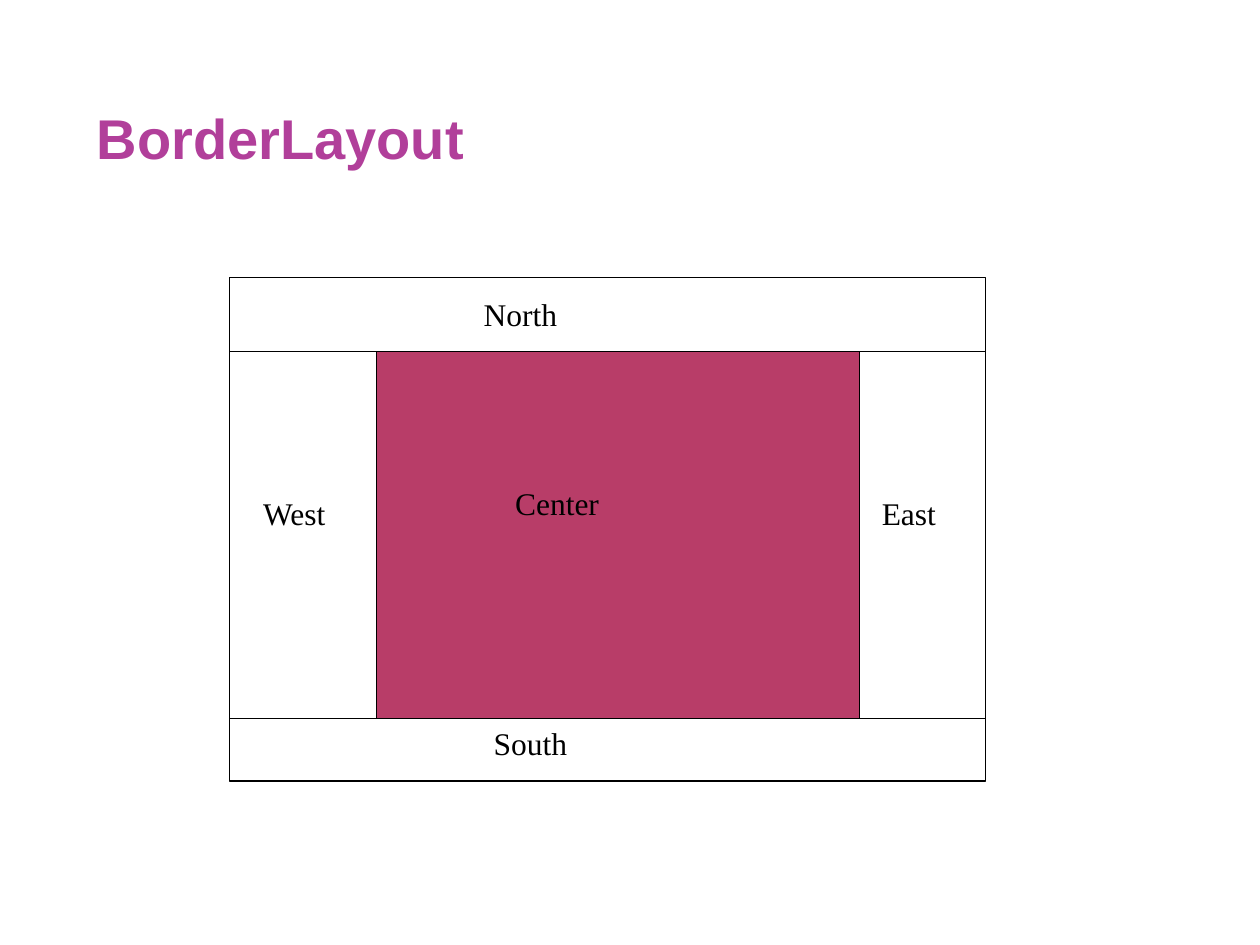
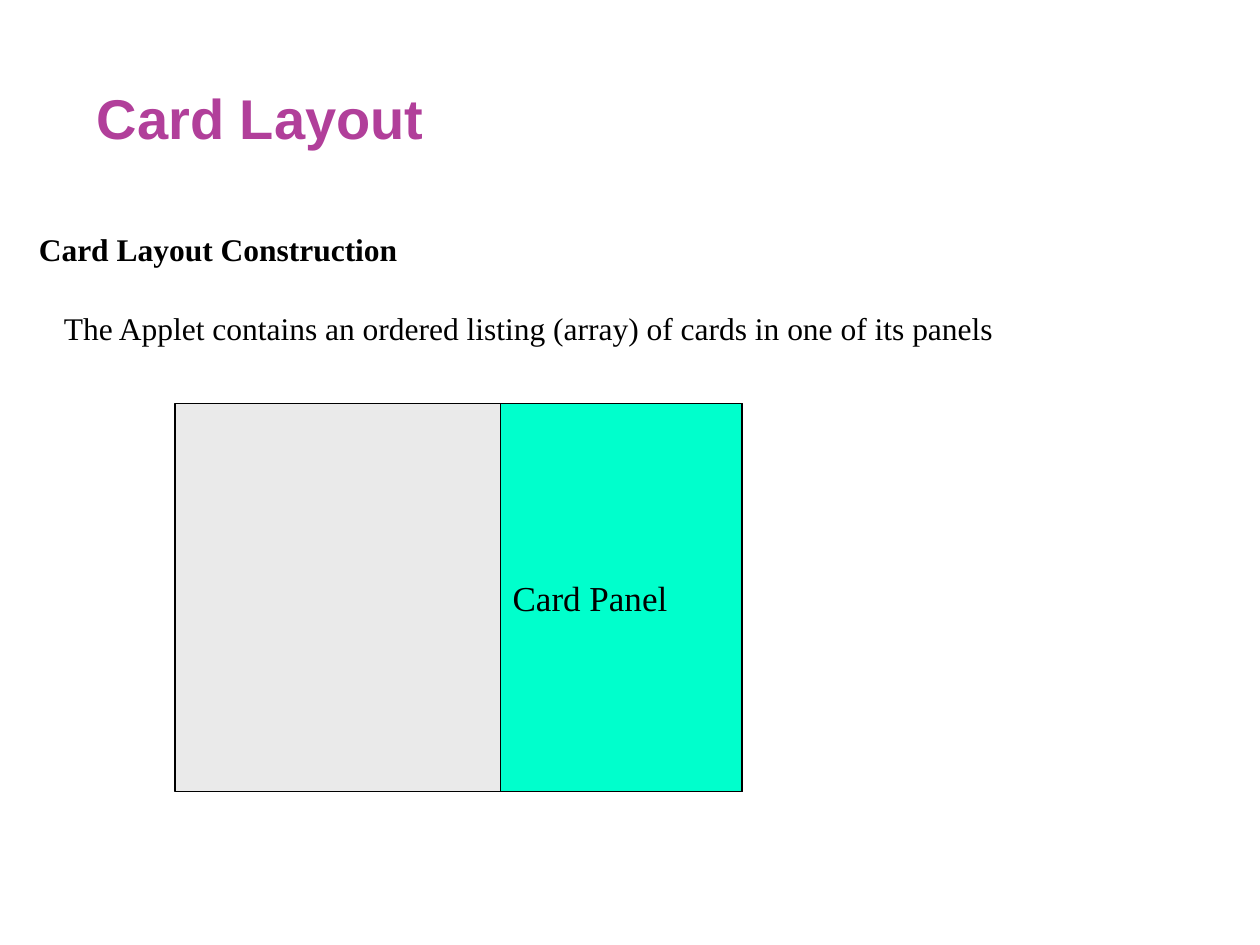
from lxml.etree import SubElement as Sub
from pptx import Presentation as Deck
from pptx.dml.color import RGBColor as RGB
from pptx.enum.shapes import MSO_CONNECTOR as Conn, MSO_SHAPE as Geo
from pptx.enum.text import MSO_ANCHOR as Anchor, PP_ALIGN as Align
from pptx.oxml.ns import qn
from pptx.util import Inches, Pt

HUES = {"title": "B13F9A", "ink": "000000", "paper": "FFFFFF",
        "center": "B83D68", "card": "EAEAEA", "panel": "00FFCC"}
HEAD = {"name": "Arial", "size": Pt(32), "bold": True}
BODY = {"name": "Times New Roman", "size": Pt(18), "bold": False}


def hue(key):
    """Return the named colour."""
    return RGB.from_string(HUES[key])


class Pen:
    """Hold the deck style and draw on the current slide."""

    def __init__(self):
        """Start an empty 10 by 7.5 inch deck."""
        self.deck = Deck()
        self.deck.slide_width, self.deck.slide_height = Inches(10), Inches(7.5)
        self.slide = None

    def page(self, text, top, high):
        """Add a blank slide with its title."""
        self.slide = self.deck.slides.add_slide(self.deck.slide_layouts[6])
        self.label(text, 0.67, top, 8.33, high, "title", Anchor.MIDDLE, **HEAD)

    def letter(self, shape, text, key, anchor, align, style):
        """Put one styled paragraph into a shape."""
        frame = shape.text_frame
        frame.word_wrap = True
        frame.vertical_anchor = anchor
        para = frame.paragraphs[0]
        para.alignment = align
        run = para.add_run()
        run.text = text
        for name, value in {**BODY, **style}.items():
            setattr(run.font, name, value)
        run.font.color.rgb = hue(key)

    def label(self, text, left, top, wide, high=0.5, key="ink",
              anchor=Anchor.TOP, align=Align.LEFT, **style):
        """Add a text box."""
        box = self.slide.shapes.add_textbox(*map(Inches, (left, top, wide, high)))
        self.letter(box, text, key, anchor, align, style)

    def stroke(self, line):
        """Give an outline the common pen."""
        line.color.rgb = hue("ink")
        line.width = Pt(0.75)

    def rect(self, left, top, right, low, key, text=None, **style):
        """Add a filled rectangle between two corners."""
        size = (left, top, right - left, low - top)
        shape = self.slide.shapes.add_shape(Geo.RECTANGLE, *map(Inches, size))
        shape.shadow.inherit = False
        shape.fill.solid()
        shape.fill.fore_color.rgb = hue(key)
        self.stroke(shape.line)
        if text:
            self.letter(shape, text, "ink", Anchor.MIDDLE, Align.LEFT, style)

    def rule(self, *ends):
        """Add a straight line from x, y to x, y."""
        line = self.slide.shapes.add_connector(Conn.STRAIGHT, *map(Inches, ends))
        self.stroke(line.line)
        Sub(line._element.spPr, qn("a:effectLst"))


def border(pen):
    """Draw the five regions of a border layout."""
    pen.page("BorderLayout", 0.75, 0.67)
    left, west, east, right = 1.82, 2.99, 6.82, 7.82
    top, north, south, low = 2.2, 2.79, 5.7, 6.2
    pen.rect(left, top, right, low, "paper")
    pen.rect(west, north, east, south, "center")
    for inner, outer in ((west, left), (east, right)):
        for y in (north, south):
            pen.rule(inner, y, outer, y)
        pen.rule(inner, north, inner, south)
    for text, x, y, wide in (("North", 3.74, 2.29, 3.08),
                             ("South", 3.82, 5.7, 1.92),
                             ("Center", 3.99, 3.79, 1.56),
                             ("West", 1.99, 3.87, 1.25),
                             ("East", 6.9, 3.87, 0.83)):
        pen.label(text, x, y, wide)


def cards(pen):
    """Draw the applet with its card panel."""
    pen.page("Card Layout", 0.58, 0.7)
    pen.label("Card Layout Construction", 0.21, 1.78, 8.36, 0.47, bold=True)
    pen.label("The Applet contains an ordered listing (array) of cards "
              "in one of its panels", 0.41, 2.4, 9.26, 0.47,
              align=Align.JUSTIFY)
    top, right, low = 3.2, 5.89, 6.28
    pen.rect(1.39, top, right, low, "card")
    pen.rect(3.97, top, right, low, "panel", "Card Panel", size=Pt(20))


pen = Pen()
border(pen)
cards(pen)
pen.deck.save("out.pptx")
